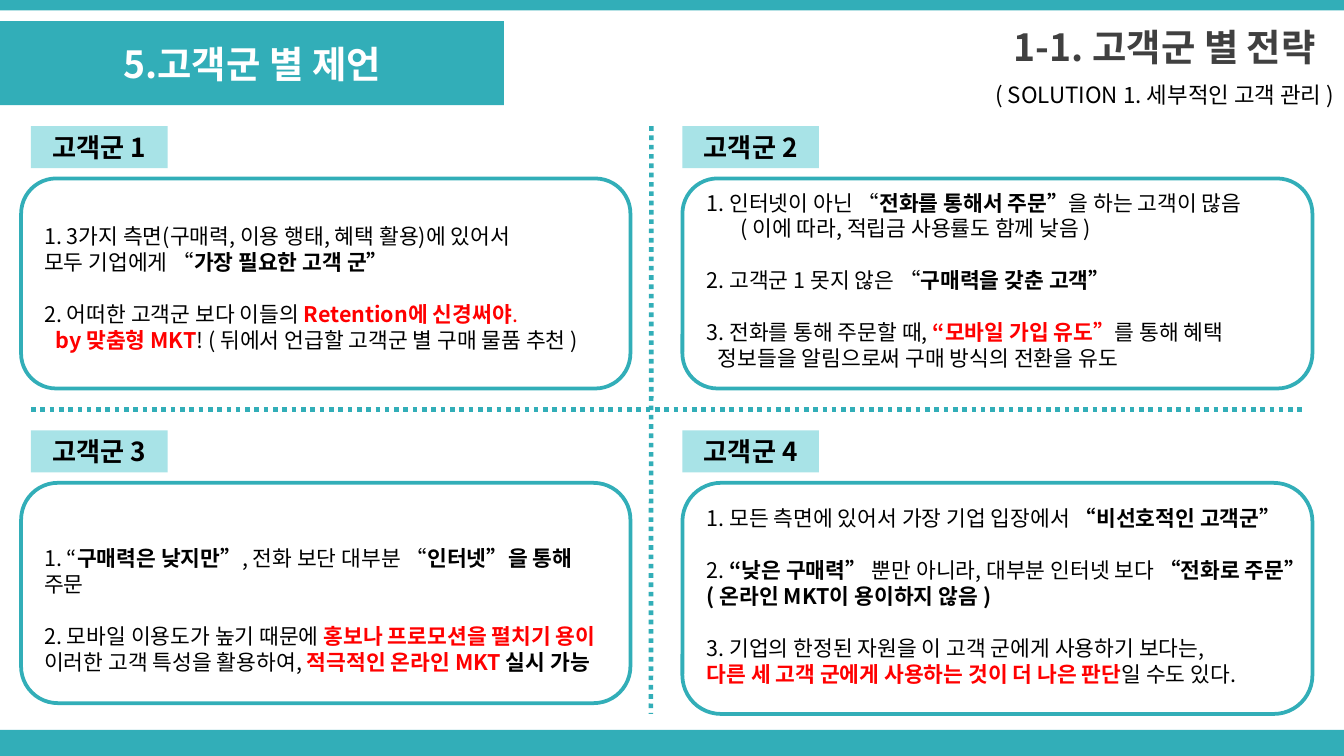
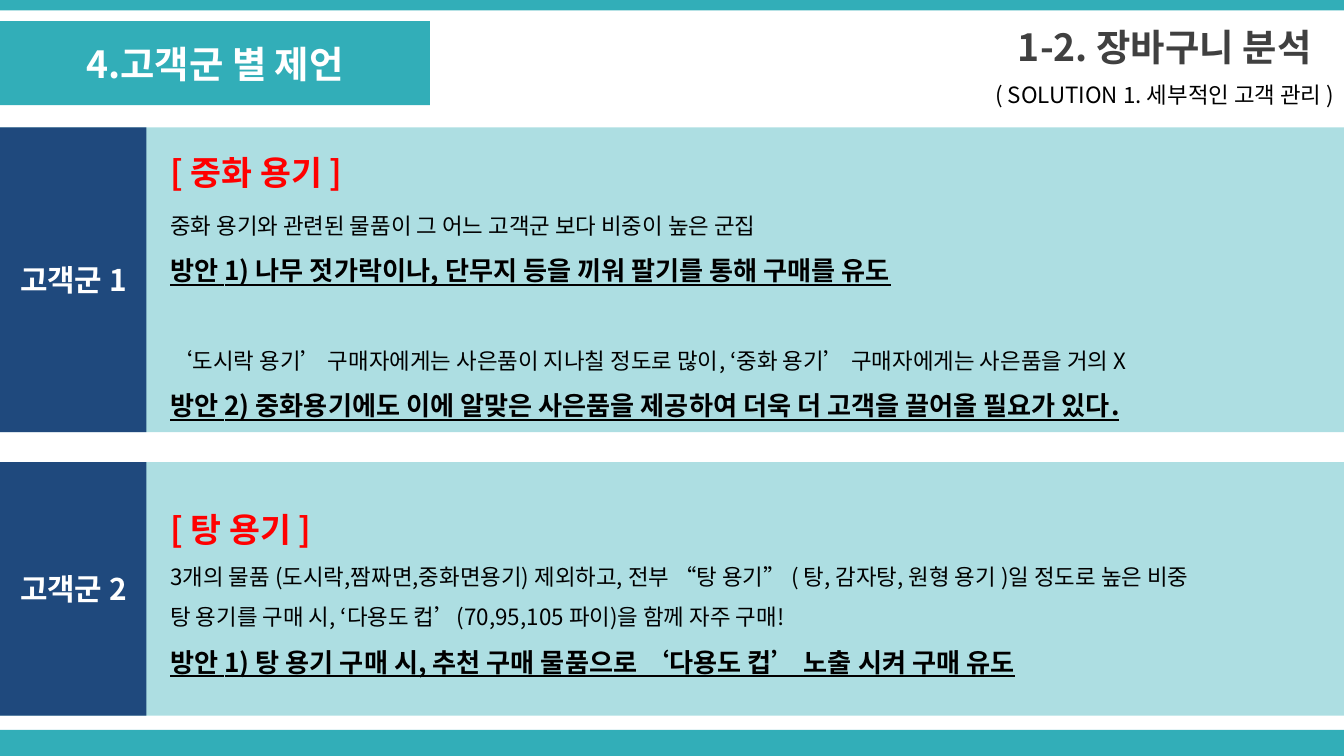
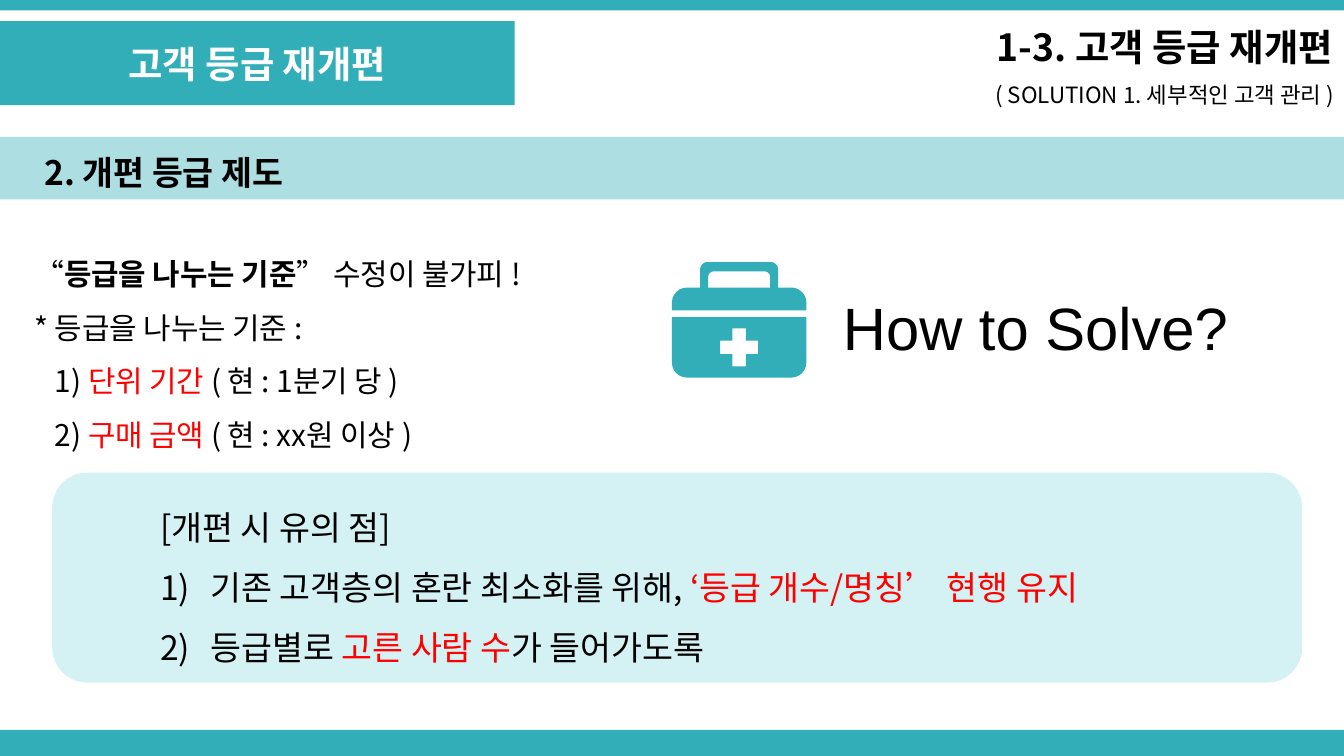
"""Builds three slides of advice for customer groups."""
from dataclasses import dataclass
from itertools import zip_longest
from math import cos, pi, sin

from lxml import etree
from pptx import Presentation
from pptx import util as u
from pptx.dml.color import RGBColor
from pptx.enum import dml, shapes, text
from pptx.oxml.ns import qn


@dataclass(frozen=True)
class Theme:
    teal: str = "32AEB8"
    pale: str = "D4F1F3"
    tag: str = "A8E3E7"
    navy: str = "1F497D"
    white: str = "FFFFFF"
    black: str = "000000"
    gray: str = "404040"
    red: str = "FF0000"
    font: str = "Noto Sans CJK KR"
    latin: str = "Arial"
    title: float = 20
    head: float = 18
    label: float = 16
    plan: float = 14
    body: float = 12
    small: float = 11.5
    big: float = 32


T = Theme()
RECT, ROUND = shapes.MSO_SHAPE.RECTANGLE, shapes.MSO_SHAPE.ROUNDED_RECTANGLE
MID, CENTER = text.MSO_ANCHOR.MIDDLE, text.PP_ALIGN.CENTER


def box(slide, kind, area, fill=T.teal, line=None, alpha=None):
    """Add a filled shape, or a text box when kind is None."""
    area = [u.Pt(n) for n in area]
    if kind is None:
        return slide.shapes.add_textbox(*area)
    shape = slide.shapes.add_shape(kind, *area)
    shape.shadow.inherit = False
    shape.fill.solid()
    shape.fill.fore_color.rgb = RGBColor.from_string(fill)
    if alpha:
        tint = shape._element.spPr.find(qn("a:solidFill"))[0]
        etree.SubElement(tint, qn("a:alpha"), val=str(alpha * 1000))
    if line:
        shape.line.color.rgb = RGBColor.from_string(line)
        shape.line.width = u.Pt(2)
    else:
        shape.line.fill.background()
    return shape


def write(shape, paras, size=T.small, color=T.black, bold=False, font=T.font,
          align=None, anchor=text.MSO_ANCHOR.TOP, space=None, gaps=(), hangs=(), nums=()):
    """Fill a shape with paragraphs of (words, style) runs; b bold, r red, u plan, h heading."""
    frame = shape.text_frame
    frame.word_wrap = True
    frame.vertical_anchor = anchor
    paras = [[(paras, "")]] if isinstance(paras, str) else paras
    for i, (runs, gap, hang) in enumerate(zip_longest(paras, gaps, hangs, fillvalue=0)):
        para = frame.paragraphs[0] if i == 0 else frame.add_paragraph()
        para.alignment = align
        if space:
            para.line_spacing = space
        if gap:
            para.space_before = u.Pt(gap)
        props = para._p.get_or_add_pPr()
        if hang:
            props.set("marL", str(u.Pt(hang)))
            props.set("indent", str(-u.Pt(hang)))
        if i in nums:
            etree.SubElement(props, qn("a:buAutoNum"), type="arabicParenR")
        for words, style in runs:
            for j, part in enumerate(words.split("\n")):
                if j:
                    para.add_line_break()
                if not part:
                    continue
                run = para.add_run()
                run.text = part
                face = run.font
                face.size = u.Pt(T.head if "h" in style else T.plan if "u" in style else size)
                face.bold = bold or "b" in style
                face.underline = "u" in style
                face.color.rgb = RGBColor.from_string(T.red if "r" in style else color)
                face.name = font
                etree.SubElement(run._r.rPr, qn("a:ea"), typeface=font)


deck = Presentation()
deck.slide_width, deck.slide_height = u.Pt(720), u.Pt(405)

heads = [
    ("5.고객군 별 제언", 270, "1-1. 고객군 별 전략", T.gray),
    ("4.고객군 별 제언", 230.4, "1-2. 장바구니 분석", T.gray),
    ("고객 등급 재개편", 275.8, "1-3. 고객 등급 재개편", T.black),
]
pages = []
for name, wide, topic, tone in heads:
    page = deck.slides.add_slide(deck.slide_layouts[6])
    pages.append(page)
    box(page, RECT, (0, 391, 720, 14))
    box(page, RECT, (0, 0, 720, 5.6))
    write(box(page, RECT, (0, 11.3, wide, 45)), name, size=T.title, color=T.white,
          bold=True, align=CENTER, anchor=MID)
    write(box(page, None, (506, 10, 236, 29.5)), topic, size=T.title, color=tone,
          bold=True, align=CENTER, anchor=MID)
    write(box(page, None, (506, 39.5, 236, 22.5)), "( SOLUTION 1. 세부적인 고객 관리 )",
          size=T.body, align=CENTER, anchor=MID)

groups, baskets, grades = pages

cards = [
    ((11.3, 95.6, 326.4, 112.5), (16.6, 116.2, 371.5, 77), (0, 6), [
        [("1. 3가지 측면(구매력, 이용 행태, 혜택 활용)에 있어서\n모두 기업에게 “", ""),
         ("가장 필요한 고객 군”", "b")],
        [("2. 어떠한 고객군 보다 이들의 ", ""), ("Retention에 신경써야", "rb"),
         (".\n", "r"), ("by 맞춤형 MKT", "rb"),
         ("! ( 뒤에서 언급할 고객군 별 구매 물품 추천 )", "")]]),
    ((365.6, 95.6, 337.5, 112.5), (371.5, 98.1, 343.4, 105), (18, 18, 6), [
        [("1. 인터넷이 아닌 “", ""), ("전화를 통해서 주문”", "b"),
         ("을 하는 고객이 많음\n( 이에 따라, 적립금 사용률도 함께 낮음 )", "")],
        [("2. 고객군 1 못지 않은 “", ""), ("구매력을 갖춘 고객”", "b")],
        [("3. 전화를 통해 주문할 때, ", ""), ("“모바일 가입 유도”", "rb"),
         ("를 통해 혜택\n정보들을 알림으로써 구매 방식의 전환을 유도", "")]]),
    ((11.3, 258.7, 326.4, 118), (16.6, 288.7, 320.4, 77), (), [
        [("1. “", ""), ("구매력은 낮지만”", "b"), (", 전화 보단 대부분 “", ""),
         ("인터넷”을 통해", "b"), (" 주문", "")],
        [("2. 모바일 이용도가 높기 때문에 ", ""), ("홍보나 프로모션을 펼치기 용이\n", "rb"),
         ("이러한 고객 특성을 활용하여, ", ""), ("적극적인 온라인 MKT ", "rb"),
         ("실시 가능", "b")]]),
    ((365.6, 258.7, 337.5, 123.8), (371.5, 267.3, 365.8, 105), (), [
        [("1. 모든 측면에 있어서 가장 기업 입장에서 ", ""), ("“비선호적인 고객군”", "b")],
        [("2. ", ""), ("“낮은 구매력” ", "b"), ("뿐만 아니라, 대부분 인터넷 보다 ", ""),
         ("“전화로 주문”\n( 온라인 MKT이 용이하지 않음 )", "b")],
        [("3. 기업의 한정된 자원을 이 고객 군에게 사용하기 보다는,\n", ""),
         ("다른 세 고객 군에게 사용하는 것이 더 나은 판단", "rb"), ("일 수도 있다.", "")]]),
]
for i, (frame, area, hangs, paras) in enumerate(cards):
    row, col = divmod(i, 2)
    box(groups, ROUND, frame, fill=T.white, line=T.teal)
    write(box(groups, None, area), paras, gaps=(0, 14, 14)[:len(paras)], hangs=hangs)
    write(box(groups, RECT, (16.6 + 349 * col, 67.6 + 163 * row, 73.2, 22.5), fill=T.tag),
          f"고객군 {i + 1}", size=T.plan, bold=True, align=CENTER, anchor=MID)
for ends in ((16.6, 219.4, 697.7, 219.4), (349, 67.6, 348.7, 382.4)):
    rule = groups.shapes.add_connector(shapes.MSO_CONNECTOR.STRAIGHT, *[u.Pt(n) for n in ends])
    rule.line.color.rgb = RGBColor.from_string(T.teal)
    rule.line.width = u.Pt(2.5)
    rule.line.dash_style = dml.MSO_LINE.ROUND_DOT
    etree.SubElement(rule._element.spPr, qn("a:effectLst"))

bands = [
    (68.2, 163.3, 67, (0, 3.5, 0, 25.5), [
        [("[ 중화 용기 ]", "hrb")],
        [("중화 용기와 관련된 물품이 그 어느 고객군 보다 비중이 높은 군집", "")],
        [("방안 1) 나무 젓가락이나, 단무지 등을 끼워 팔기를 통해 구매를 유도", "bu")],
        [("‘도시락 용기’ 구매자에게는 사은품이 지나칠 정도로 많이, "
          "‘중화 용기’ 구매자에게는 사은품을 거의 X", "")],
        [("방안 2) 중화용기에도 이에 알맞은 사은품을 제공하여 더욱 더 고객을 끌어올 필요가 있다.",
          "bu")]]),
    (247.6, 135.8, 258.5, (), [
        [("[ 탕 용기 ]", "hrb")],
        [("3개의 물품 (도시락,짬짜면,중화면용기) 제외하고, 전부 “탕 용기” "
          "( 탕, 감자탕, 원형 용기 )일 정도로 높은 비중", "")],
        [("탕 용기를 구매 시, ‘다용도 컵’(70,95,105 파이)을 함께 자주 구매!", "")],
        [("방안 1) 탕 용기 구매 시, 추천 구매 물품으로 ‘다용도 컵’ 노출 시켜 구매 유도", "bu")]]),
]
for i, (top, tall, start, gaps, paras) in enumerate(bands, 1):
    box(baskets, RECT, (0, top, 720, tall), alpha=40)
    write(box(baskets, None, (84.2, start, 635.8, tall - 20)), paras, size=T.body,
          space=1.5, gaps=gaps, hangs=[27] * len(paras))
    write(box(baskets, RECT, (0, top, 78.5, tall), fill=T.navy), f"고객군 {i}",
          size=T.label, color=T.white, bold=True, align=CENTER, anchor=MID)

box(grades, ROUND, (28, 253.2, 669.6, 112.5), fill=T.pale)
box(grades, RECT, (0, 73.3, 720, 33.5), alpha=40)
write(box(grades, None, (16.6, 77.8, 545.8, 29)), "2. 개편 등급 제도", size=T.head, bold=True)
write(box(grades, None, (11.3, 123.8, 720, 124)), [
    [("“", ""), ("등급을 나누는 기준", "b"), ("” 수정이 불가피 !", "")],
    [("* 등급을 나누는 기준 :\n1) ", ""), ("단위 기간 ", "r"), ("( 현 : 1분기 당 )\n2) ", ""),
     ("구매 금액 ", "r"), ("( 현 : xx원 이상 )", "")],
], size=T.label, space=1.5, hangs=(0, 11))
write(box(grades, None, (78.7, 257, 596, 105)), [
    [("[개편 시 유의 점]", "")],
    [("기존 고객층의 혼란 최소화를 위해, ", ""), ("‘등급 개수/명칭’ 현행 유지", "r")],
    [("등급별로 ", ""), ("고른 사람 수", "r"), ("가 들어가도록", "")],
], size=T.head, space=1.5, hangs=(0, 27, 27), nums=(1, 2))
write(box(grades, None, (444.5, 152, 247.7, 46)), "How to Solve?", size=T.big, font=T.latin)

thin, long = 3.6, 10.2
half = [(-thin, -long), (thin, -long), (thin, -thin), (long, -thin), (long, thin), (thin, thin)]
cross = [(36 + s * x, 45.7 + s * y, 0) for s in (1, -1) for x, y in half]
base = [(0, 29.5, 0), (72, 29.5, 0), (72, 61.9, 8), (0, 61.9, 8)]
grip = [(19.4, 13.7, 0), (19.4, 5, 3), (52.6, 5, 3), (52.6, 13.7, 0)]
lid = [(15.1, 0, 4), (56.9, 0, 4), (56.9, 13.7, 0), (72, 13.7, 8),
       (72, 25.9, 0), (0, 25.9, 0), (0, 13.7, 8), (15.1, 13.7, 0)]
pen = None
for ring in (cross, base, grip, lid):
    dots = []
    for i, (x, y, r) in enumerate(ring):
        (px, py, _), (nx, ny, _) = ring[i - 1], ring[(i + 1) % len(ring)]
        back, on = r / (abs(px - x) + abs(py - y)), r / (abs(nx - x) + abs(ny - y))
        for k in range(7 if r else 1):
            a, b = back * (1 - sin(k * pi / 12)), on * (1 - cos(k * pi / 12))
            dots.append((u.Pt(360 + x + a * (px - x) + b * (nx - x)),
                         u.Pt(140.4 + y + a * (py - y) + b * (ny - y))))
    if pen is None:
        pen = grades.shapes.build_freeform(*dots[0])
    else:
        pen.move_to(*dots[0])
    pen.add_line_segments(dots[1:], close=True)
kit = pen.convert_to_shape()
kit.shadow.inherit = False
kit.fill.solid()
kit.fill.fore_color.rgb = RGBColor.from_string(T.teal)
kit.line.fill.background()

deck.save("out.pptx")
